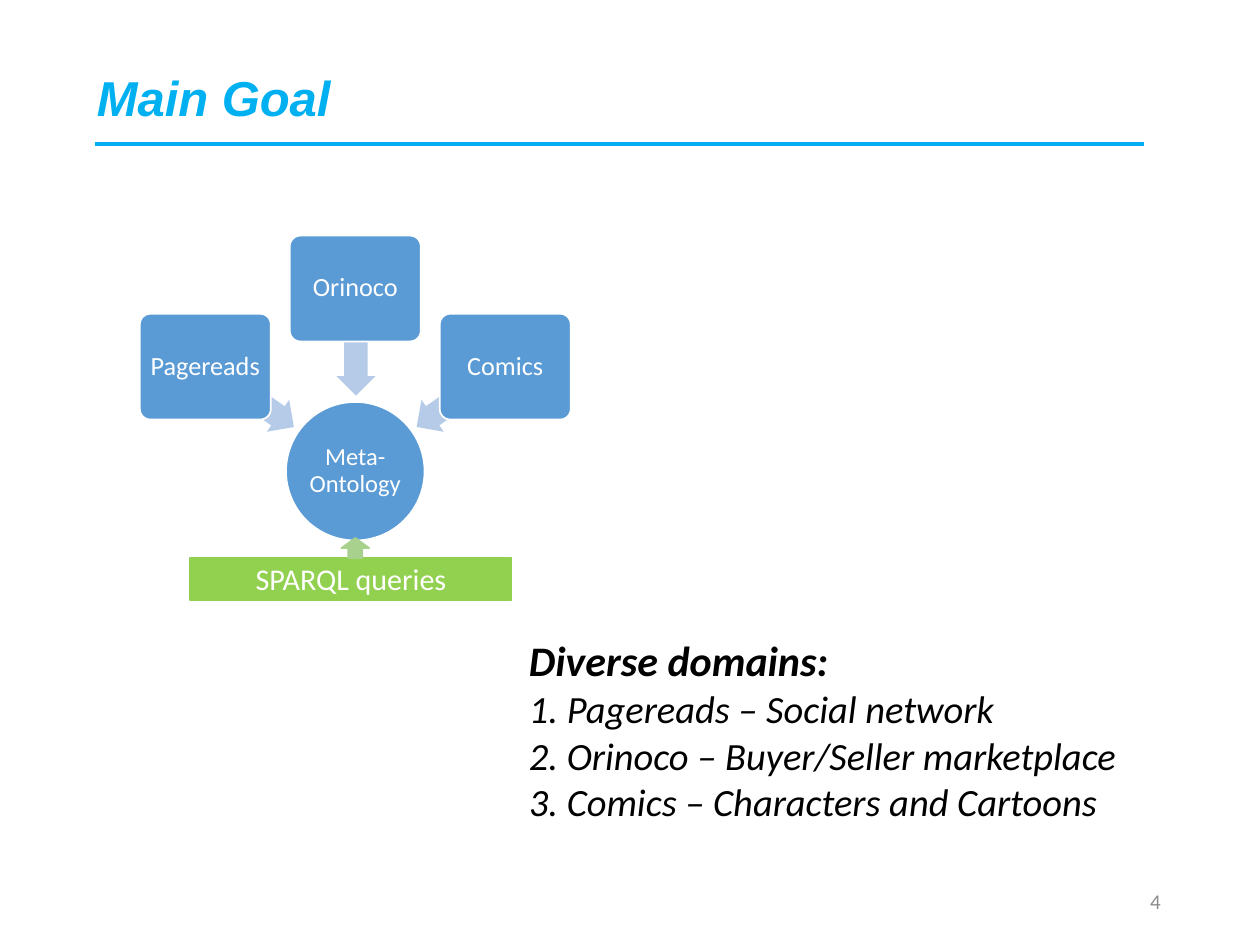
import pptx
import pptx.util
import pptx.dml.color
import pptx.enum.shapes
import pptx.enum.text
import pptx.oxml
import pptx.oxml.ns

Inches = pptx.util.Inches
Pt = pptx.util.Pt
SHAPE = pptx.enum.shapes.MSO_SHAPE
ALIGN = pptx.enum.text.PP_ALIGN
ANCHOR = pptx.enum.text.MSO_ANCHOR


def color(value):
    return pptx.dml.color.RGBColor.from_string(value)


def add_item(kind, box, text="", size=12, font="Calibri", ink="FFFFFF", fill=None,
             line=None, inset=None, align=ALIGN.CENTER, spacing=None):
    box = [Inches(v) for v in box]
    if kind is None:
        sp = s.shapes.add_textbox(*box)
    else:
        sp = s.shapes.add_shape(kind, *box)
        sp.shadow.inherit = False
        sp.fill.solid()
        sp.fill.fore_color.rgb = color(fill)
        if line:
            sp.line.color.rgb = color(line)
            sp.line.width = Pt(1)
        else:
            sp.line.fill.background()
    if text:
        tf = sp.text_frame
        tf.word_wrap = True
        tf.vertical_anchor = ANCHOR.MIDDLE
        if inset is not None:
            tf.margin_left = tf.margin_right = Inches(inset)
            tf.margin_top = tf.margin_bottom = Inches(inset)
        tf.text = text
        for p in tf.paragraphs:
            p.alignment = align
            p.line_spacing = spacing
            for r in p.runs:
                r.font.size = Pt(size)
                r.font.name = font
                r.font.color.rgb = color(ink)
    return sp


prs = pptx.Presentation()
prs.slide_width = Inches(10)
prs.slide_height = Inches(7.5)
s = prs.slides.add_slide(prs.slide_layouts[6])

add_item(SHAPE.OVAL, (2.27, 3.19, 1.1, 1.1), "Meta-Ontology", 14,
         fill="5B9BD5", line="FFFFFF", inset=0, spacing=0.9)

sources = [
    ("Pagereads", 1.11, 2.49, 1.56, 2.99, 215),
    ("Orinoco", 2.3, 1.87, 2.4, 2.56, 270),
    ("Comics", 3.49, 2.49, 3.23, 2.99, 325),
]
for name, left, top, arrow_left, arrow_top, angle in sources:
    arrow = add_item(SHAPE.LEFT_ARROW, (arrow_left, arrow_top, 0.85, 0.31), fill="B5CBE7")
    arrow.adjustments[0] = 0.6
    arrow.adjustments[1] = 0.5
    arrow.rotation = angle
    source = add_item(SHAPE.ROUNDED_RECTANGLE, (left, top, 1.04, 0.84), name, 15,
                      fill="5B9BD5", line="FFFFFF", inset=0.06, spacing=0.9)
    source.adjustments[0] = 0.1

add_item(SHAPE.RECTANGLE, (1.51, 4.43, 2.55, 0.33), "SPARQL queries", 17.2,
         fill="92D050", line="92D050")
query_arrow = add_item(SHAPE.RIGHT_ARROW, (2.74, 4.24, 0.16, 0.22),
                       fill="A9D18E", line="A9D18E")
query_arrow.rotation = 270

domains = add_item(None, (4.1, 4.99, 5.04, 1.62), "\n".join([
    "Diverse domains:",
    "1. Pagereads – Social network",
    "2. Orinoco – Buyer/Seller marketplace",
    "3. Comics – Characters and Cartoons",
]), 22, ink="000000", align=ALIGN.LEFT)
domains.text_frame.vertical_anchor = ANCHOR.TOP
for p in domains.text_frame.paragraphs:
    p.runs[0].font.italic = True
heading = domains.text_frame.paragraphs[0].runs[0]
heading.font.size = Pt(24)
heading.font.bold = True

title = add_item(None, (0.67, 0.14, 8.42, 1.25), "Main Goal", 28, "Arial", "00B0F0",
                 align=ALIGN.LEFT)
r = title.text_frame.paragraphs[0].runs[0]
r.font.bold = True
r.font.italic = True

rule = s.shapes.add_connector(pptx.enum.shapes.MSO_CONNECTOR.STRAIGHT,
                              Inches(0.75), Inches(1.14), Inches(9.08), Inches(1.14))
rule.line.color.rgb = color("00B0F0")
rule.line.width = Pt(2.25)
rule._element.spPr.append(pptx.oxml.parse_xml(
    "<a:effectLst %s/>" % pptx.oxml.ns.nsdecls("a")))

add_item(None, (7.06, 6.95, 2.25, 0.4), "4", 12, ink="8C8C8C", align=ALIGN.RIGHT)

prs.save("out.pptx")
